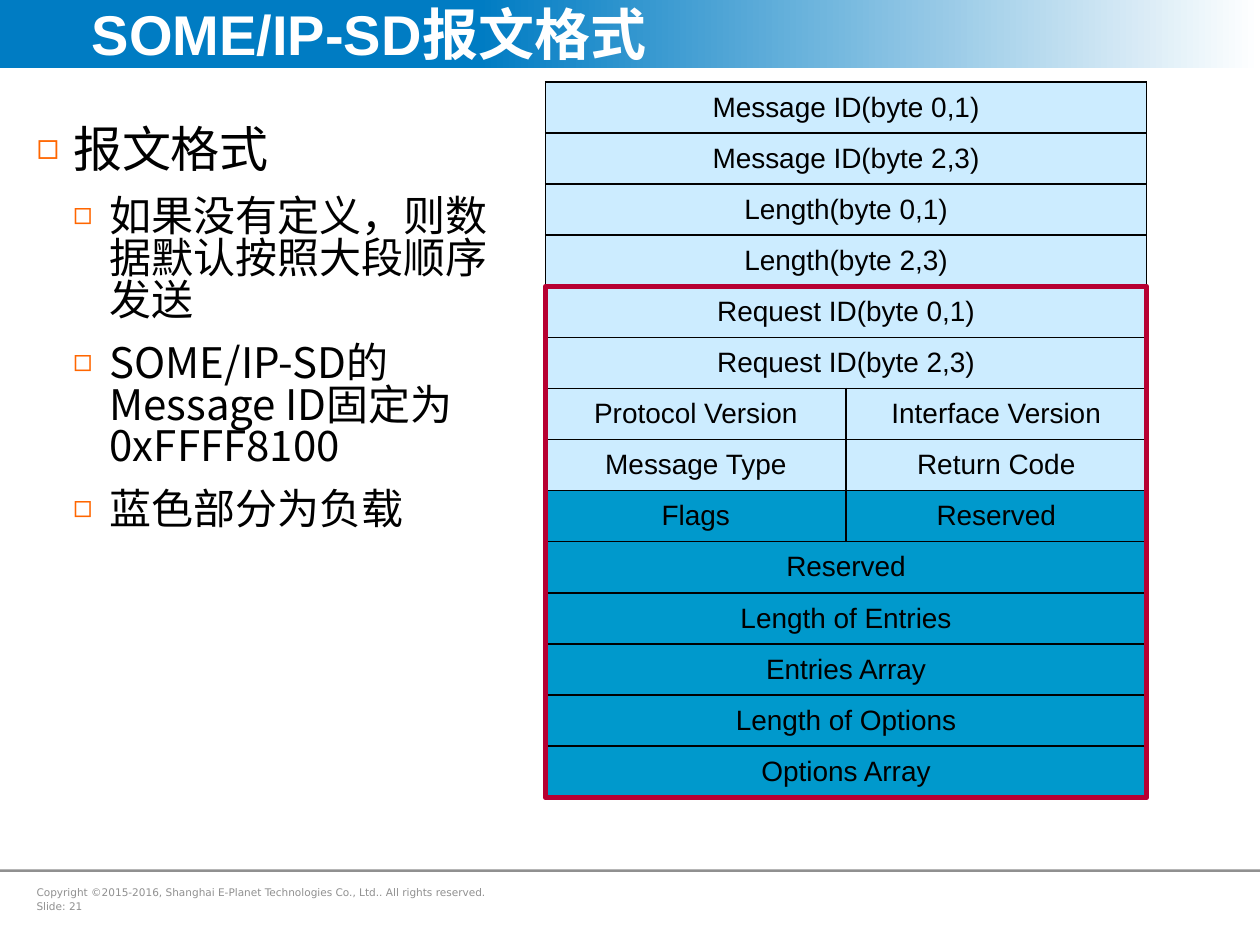
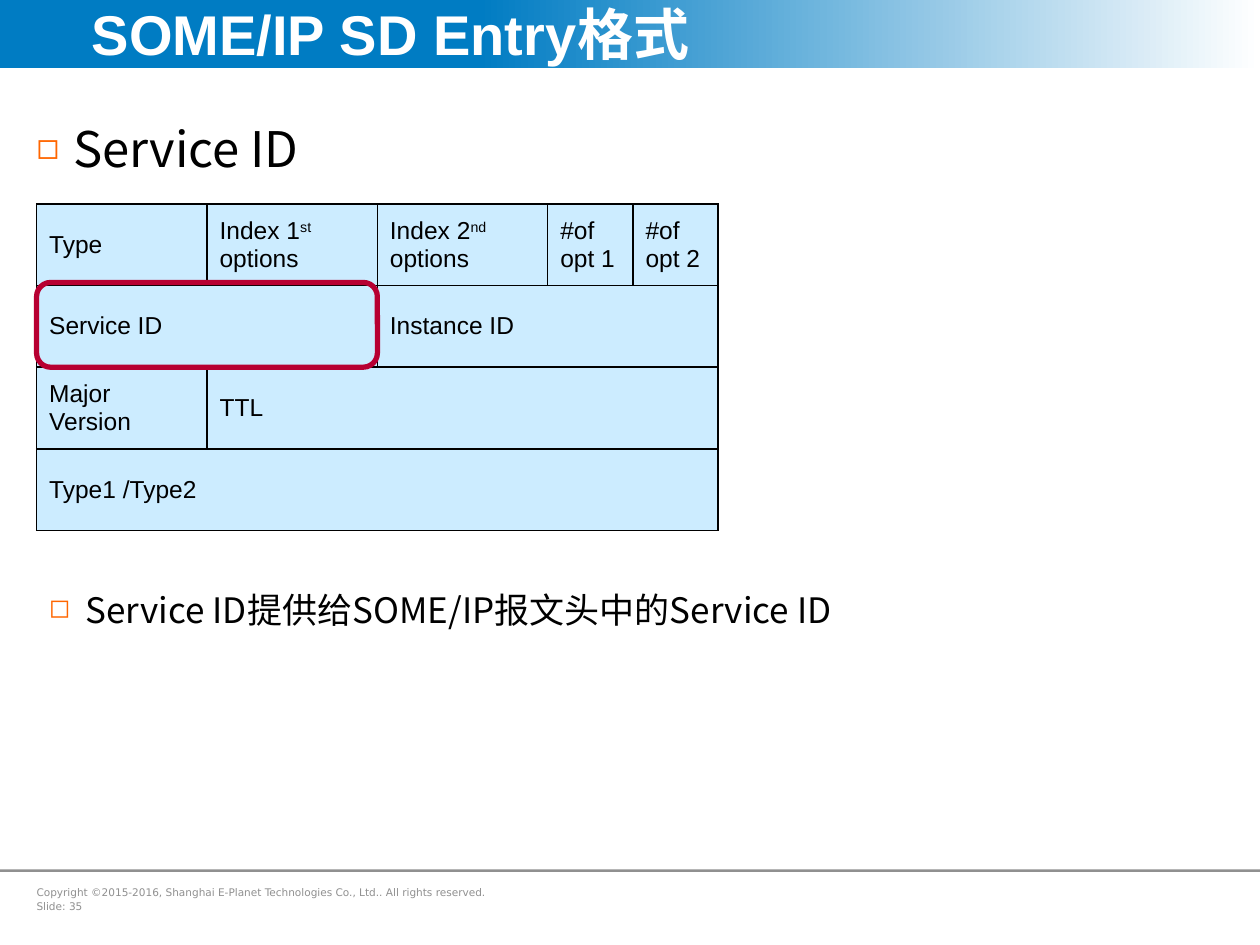
from dataclasses import dataclass

import lxml.etree
import pptx
import pptx.dml.color
import pptx.enum.shapes
import pptx.enum.text
import pptx.oxml.ns
import pptx.util

UNIT = pptx.util.Inches(0.1)
COLUMNS, ROWS = 100, 75
SHAPES = pptx.enum.shapes.MSO_SHAPE
ALIGN = pptx.enum.text.PP_ALIGN
MIDDLE = pptx.enum.text.MSO_ANCHOR.MIDDLE


@dataclass(frozen=True)
class Theme:
    band: str = "007CC3"
    paper: str = "FFFFFF"
    grey: str = "909090"
    ink: str = "000000"
    bullet: str = "FF6600"
    header: str = "CCECFF"
    payload: str = "0099CC"
    accent: str = "B70032"
    sans: str = "Arial"
    chinese: str = "Noto Sans CJK SC"
    small: str = "DejaVu Sans"
    title_size: int = 32
    topic_size: int = 28
    point_size: int = 24
    note_size: int = 20
    message_size: int = 16
    entry_size: int = 14
    footer_size: int = 6


THEME = Theme()


@dataclass(frozen=True)
class Box:
    left: float
    top: float
    width: float
    height: float

    def emu(self):
        return [round(v * UNIT) for v in (self.left, self.top, self.width, self.height)]

    def inner(self, x, y, width, height):
        return Box(self.left + x * self.width, self.top + y * self.height,
                   width * self.width, height * self.height)


BAND = Box(0, 0, COLUMNS, 5.4)
TITLE = Box(6.1, 0, 79.7, 5.3)
RULE = Box(0, 69, COLUMNS, 0.2)
FOOTER = Box(2.9, 69.8, 38.4, 3.2)


def rgb(value):
    return pptx.dml.color.RGBColor.from_string(value)


def add_node(parent, tag, **attributes):
    return lxml.etree.SubElement(parent, pptx.oxml.ns.qn(tag), attributes)


def add_run(paragraph, text, size, font, color=THEME.ink, bold=False):
    run = paragraph.add_run()
    run.text = text
    run.font.size = pptx.util.Pt(size)
    run.font.name = font
    run.font.bold = bold
    run.font.color.rgb = rgb(color)
    add_node(run.font._element, "a:ea", typeface=THEME.chinese)
    return run


def place(shape, box):
    shape.left, shape.top, shape.width, shape.height = box.emu()


def prepare(frame, left=0, top=0.05, right=0):
    frame.word_wrap = True
    frame.auto_size = pptx.enum.text.MSO_AUTO_SIZE.NONE
    frame.margin_left = pptx.util.Inches(left)
    frame.margin_top = pptx.util.Inches(top)
    frame.margin_right = pptx.util.Inches(right)
    frame.margin_bottom = pptx.util.Inches(0.05)


def write_paragraphs(frame, count):
    yield frame.paragraphs[0]
    for _ in range(count - 1):
        yield frame.add_paragraph()


def write_bullets(frame, items):
    for index, (paragraph, (text, level, size)) in enumerate(
            zip(write_paragraphs(frame, len(items)), items)):
        paragraph.level = level
        paragraph.alignment = ALIGN.LEFT
        paragraph.line_spacing = 0.83
        paragraph.space_before = pptx.util.Pt(size / 2 if index else 0)
        properties = paragraph._p.get_or_add_pPr()
        step = pptx.util.Inches(0.29)
        properties.set("marL", str(step * (level + 1)))
        properties.set("indent", str(-step))
        add_node(add_node(properties, "a:buClr"), "a:srgbClr", val=THEME.bullet)
        add_node(properties, "a:buSzPct", val="75000")
        add_node(properties, "a:buChar", char="◻")
        add_run(paragraph, text, size, THEME.chinese)


def add_block(slide, kind, box):
    block = slide.shapes.add_shape(kind, *box.emu())
    block.shadow.inherit = False
    block.line.fill.background()
    return block


def add_band(slide):
    band = add_block(slide, SHAPES.RECTANGLE, BAND)
    band.fill.gradient()
    band.fill.gradient_angle = 0
    for stop, color, position in zip(band.fill.gradient_stops,
                                     (THEME.band, THEME.paper), (0.38, 1)):
        stop.color.rgb = rgb(color)
        stop.position = position
    slide.shapes.element.insert(2, band.element)


def add_footer(slide, number):
    rule = add_block(slide, SHAPES.RECTANGLE, RULE)
    rule.fill.solid()
    rule.fill.fore_color.rgb = rgb(THEME.grey)
    lines = ("Copyright ©2015-2016, Shanghai E-Planet Technologies Co., Ltd.. All rights reserved.",
             f"Slide: {number}")
    frame = slide.shapes.add_textbox(*FOOTER.emu()).text_frame
    prepare(frame, right=0.1)
    for index, (paragraph, line) in enumerate(zip(write_paragraphs(frame, len(lines)), lines)):
        paragraph.space_before = pptx.util.Pt(1.2 * index)
        add_run(paragraph, line, THEME.footer_size, THEME.small, THEME.grey)


def add_page(deck, heading, number, bullets, list_box):
    slide = deck.slides.add_slide(deck.slide_layouts[1])
    add_band(slide)
    title, body = slide.placeholders
    place(title, TITLE)
    prepare(title.text_frame, left=0.12)
    title.text_frame.vertical_anchor = MIDDLE
    title.text_frame.paragraphs[0].alignment = ALIGN.LEFT
    add_run(title.text_frame.paragraphs[0], heading, THEME.title_size,
            THEME.sans, THEME.paper, True)
    place(body, list_box)
    prepare(body.text_frame, top=0.09)
    write_bullets(body.text_frame, bullets)
    add_footer(slide, number)
    return slide


def border(cell):
    properties = cell._tc.get_or_add_tcPr()
    for side in ("a:lnL", "a:lnR", "a:lnT", "a:lnB"):
        line = add_node(properties, side, w=str(pptx.util.Pt(1)))
        add_node(add_node(line, "a:solidFill"), "a:srgbClr", val=THEME.ink)


def write_cell(cell, text, size, align):
    paragraph = cell.text_frame.paragraphs[0]
    paragraph.alignment = align
    for index, piece in enumerate(text.split("|")):
        run = add_run(paragraph, piece, size, THEME.sans)
        if index % 2:
            run.font._element.set("baseline", "30000")


def add_layout_table(slide, box, shares, fields, size, align, payload_from=None):
    table = slide.shapes.add_table(len(fields), len(shares), *box.emu()).table
    table.first_row = table.horz_banding = False
    for column, share in zip(table.columns, shares):
        column.width = round(box.width * UNIT * share / sum(shares))
    for r, row in enumerate(fields):
        table.rows[r].height = round(box.height * UNIT / len(fields))
        is_payload = payload_from is not None and r >= payload_from
        for cell in table.rows[r].cells:
            border(cell)
            cell.fill.solid()
            cell.fill.fore_color.rgb = rgb(THEME.payload if is_payload else THEME.header)
            cell.vertical_anchor = MIDDLE
        c = 0
        for text, span in row:
            if span > 1:
                table.cell(r, c).merge(table.cell(r, c + span - 1))
            write_cell(table.cell(r, c), text, size, align)
            c += span


def add_highlight(slide, kind, box):
    frame = add_block(slide, kind, box)
    frame.fill.background()
    frame.line.color.rgb = rgb(THEME.accent)
    frame.line.width = pptx.util.Pt(3)


def message_slide(deck):
    points = ("如果没有定义，则数据默认按照大段顺序发送",
              "SOME/IP-SD的Message ID固定为0xFFFF8100",
              "蓝色部分为负载")
    bullets = [("报文格式", 0, THEME.topic_size)]
    bullets += [(point, 1, THEME.point_size) for point in points]
    slide = add_page(deck, "SOME/IP-SD报文格式", 21, bullets, Box(2.9, 9.3, 37, 42.5))
    fields = [[(f"{name}(byte {pair})", 2)]
              for name in ("Message ID", "Length", "Request ID") for pair in ("0,1", "2,3")]
    fields += [[(left, 1), (right, 1)] for left, right in (
        ("Protocol Version", "Interface Version"),
        ("Message Type", "Return Code"),
        ("Flags", "Reserved"))]
    fields += [[(name, 2)] for name in (
        "Reserved", "Length of Entries", "Entries Array", "Length of Options", "Options Array")]
    message = Box(43.3, 6.5, 47.7, 56.8)
    add_layout_table(slide, message, (1, 1), fields, THEME.message_size, ALIGN.CENTER, 8)
    skipped = 4 / len(fields)
    add_highlight(slide, SHAPES.RECTANGLE, message.inner(0, skipped, 1, 1 - skipped))


def entry_slide(deck):
    slide = add_page(deck, "SOME/IP SD Entry格式", 35,
                     [("Service ID", 0, THEME.topic_size)], Box(2.9, 9.3, 92.4, 43.2))
    note = slide.shapes.add_textbox(*Box(2.9, 46.5, 88.6, 4.4).emu()).text_frame
    prepare(note, left=0.1, top=0.08, right=0.1)
    write_bullets(note, [("Service ID提供给SOME/IP报文头中的Service ID", 0, THEME.note_size)])
    fields = [
        [("Type", 1), ("Index 1|st| options", 1), ("Index 2|nd| options", 1),
         ("#of opt 1", 1), ("#of opt 2", 1)],
        [("Service ID", 2), ("Instance ID", 3)],
        [("Major Version", 1), ("TTL", 4)],
        [("Type1 /Type2", 5)],
    ]
    entry = Box(2.9, 16.2, 54.1, 25.9)
    add_layout_table(slide, entry, (2, 2, 2, 1, 1), fields, THEME.entry_size, ALIGN.LEFT)
    add_highlight(slide, SHAPES.ROUNDED_RECTANGLE, entry.inner(0, 0.24, 0.5, 0.26))


def main():
    deck = pptx.Presentation()
    deck.slide_width, deck.slide_height = COLUMNS * UNIT, ROWS * UNIT
    message_slide(deck)
    entry_slide(deck)
    deck.save("out.pptx")


if __name__ == "__main__":
    main()
